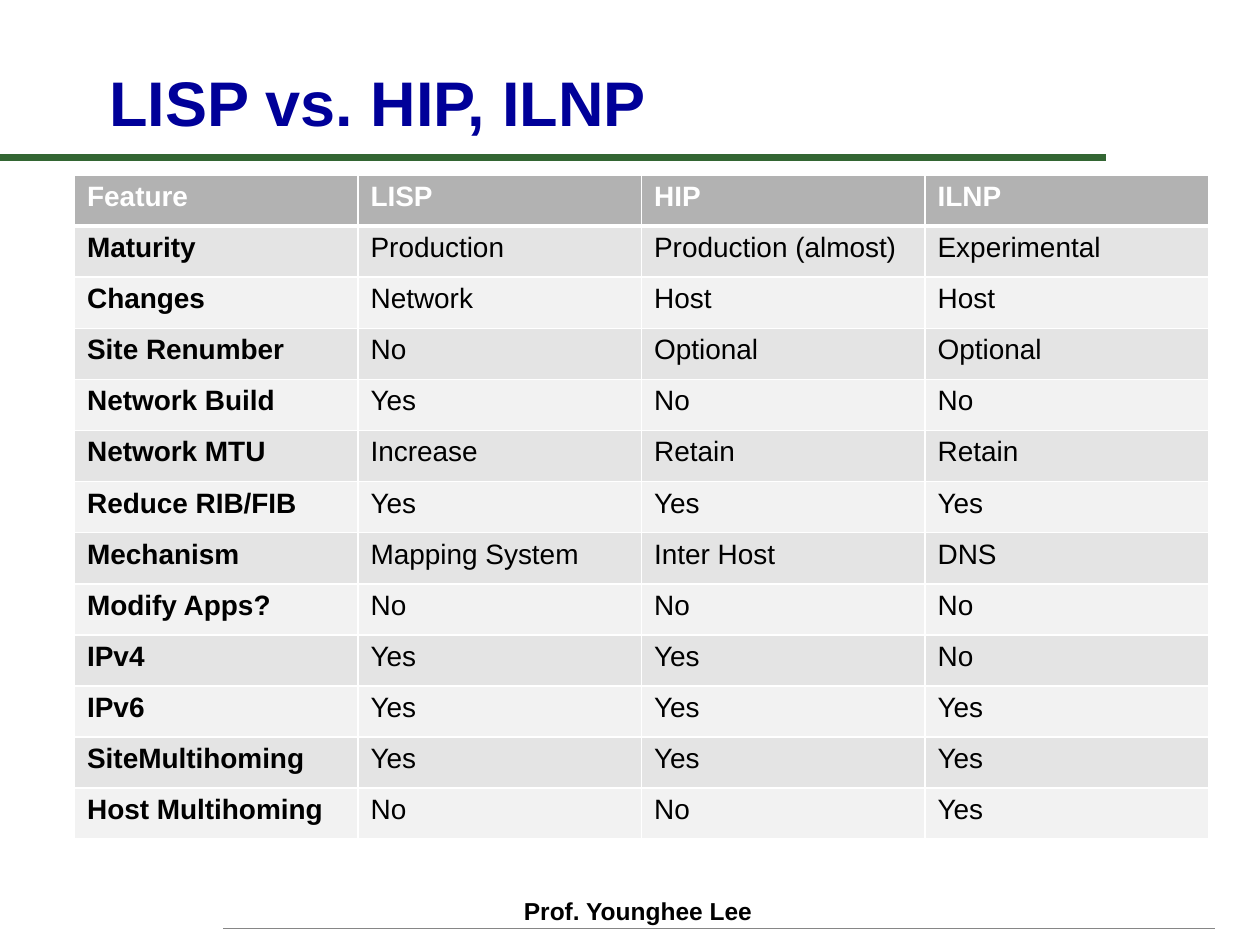
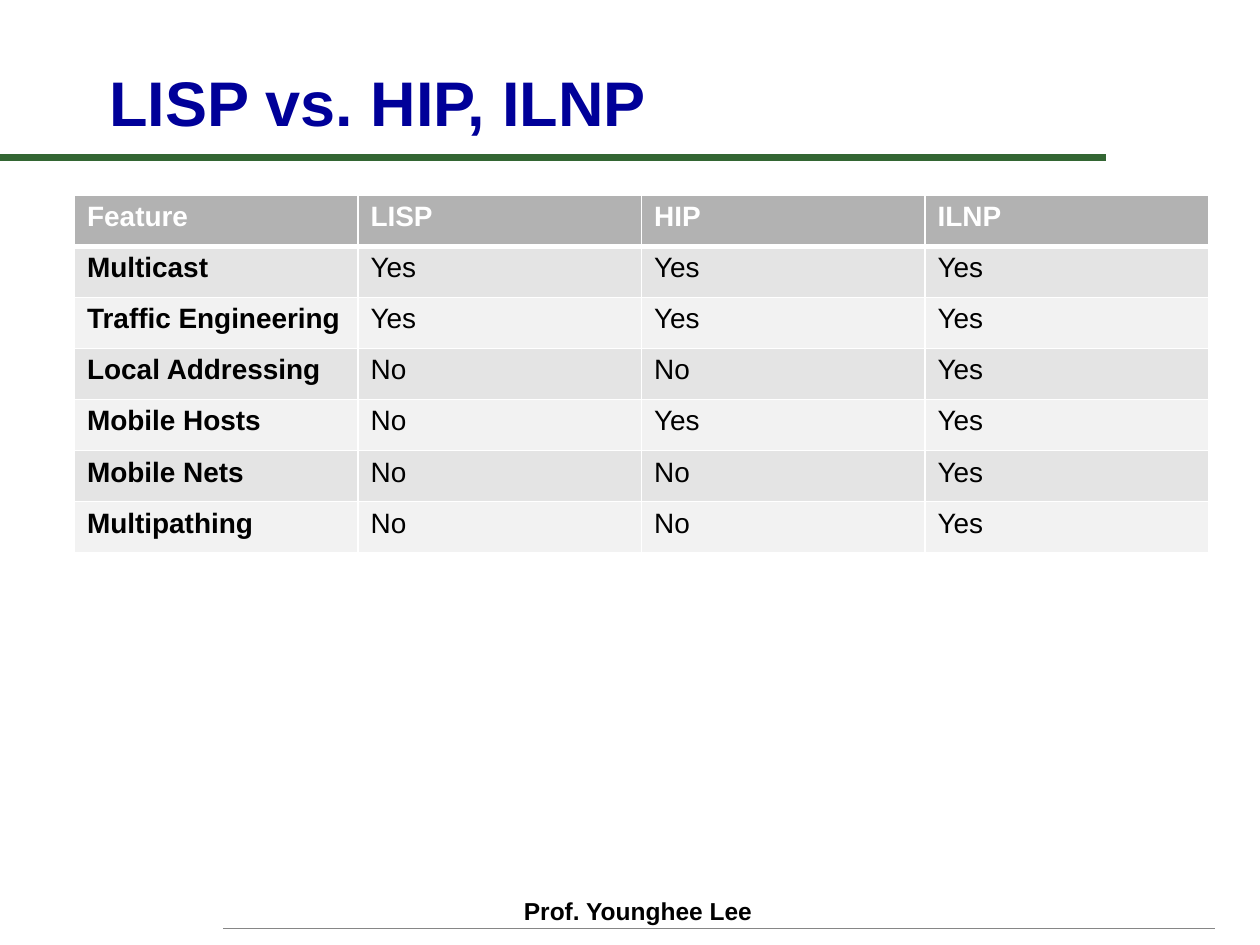
"""Builds two slides that compare the features of LISP, HIP and ILNP."""
from dataclasses import dataclass

from lxml import etree
from pptx import Presentation
from pptx.dml.color import RGBColor
from pptx.enum.shapes import MSO_CONNECTOR
from pptx.enum.text import MSO_ANCHOR
from pptx.oxml.ns import qn
from pptx.util import Pt

STRAIGHT = MSO_CONNECTOR.STRAIGHT
TOP, BOTTOM = MSO_ANCHOR.TOP, MSO_ANCHOR.BOTTOM
BLANK_LAYOUT = 6

TITLE = "LISP vs. HIP, ILNP"
FOOTER = "Prof. Younghee Lee"
HEADER = ("Feature", "LISP", "HIP", "ILNP")
SLIDES = [
    {"table_top": 100, "features": [
        ("Maturity", "Production", "Production (almost)", "Experimental"),
        ("Changes", "Network", "Host", "Host"),
        ("Site Renumber", "No", "Optional", "Optional"),
        ("Network Build", "Yes", "No", "No"),
        ("Network MTU", "Increase", "Retain", "Retain"),
        ("Reduce RIB/FIB", "Yes", "Yes", "Yes"),
        ("Mechanism", "Mapping System", "Inter Host", "DNS"),
        ("Modify Apps?", "No", "No", "No"),
        ("IPv4", "Yes", "Yes", "No"),
        ("IPv6", "Yes", "Yes", "Yes"),
        ("SiteMultihoming", "Yes", "Yes", "Yes"),
        ("Host Multihoming", "No", "No", "Yes"),
    ]},
    {"table_top": 111.5, "features": [
        ("Multicast", "Yes", "Yes", "Yes"),
        ("Traffic Engineering", "Yes", "Yes", "Yes"),
        ("Local Addressing", "No", "No", "Yes"),
        ("Mobile Hosts", "No", "Yes", "Yes"),
        ("Mobile Nets", "No", "No", "Yes"),
        ("Multipathing", "No", "No", "Yes"),
    ]},
]


@dataclass(frozen=True)
class Theme:
    font: str = "Arial"
    title_size: int = 36
    table_size: int = 16
    footer_size: int = 14
    title_color: str = "000099"
    text_color: str = "000000"
    white: str = "FFFFFF"
    title_rule: str = "336633"
    footer_rule: str = "868686"
    header_fill: str = "B2B2B2"
    band_fills: tuple = ("E4E4E4", "F2F2F2")


THEME = Theme()
SLIDE_WIDTH, SLIDE_HEIGHT = 720, 540
TITLE_BOX = (55.5, 31.5, 587, 51.5)
FOOTER_BOX = (292.3, 508.3, 150, 24)
TITLE_RULE = (0, 632, 90)
FOOTER_RULE = (127.5, 694.5, 530.6)
TABLE_LEFT, COLUMN_WIDTH, ROW_HEIGHT = 42.6, 162, 29.2
THIN_BORDER, THICK_BORDER = 1, 3


def write_text(frame, text, *, size, color=THEME.text_color, bold=True):
    run = frame.paragraphs[0].add_run()
    run.text = text
    run.font.name = THEME.font
    run.font.size = Pt(size)
    run.font.bold = bold
    run.font.color.rgb = RGBColor.from_string(color)


def add_text_box(slide, box, text, anchor=TOP, **text_format):
    frame = slide.shapes.add_textbox(*map(Pt, box)).text_frame
    frame.word_wrap = True
    frame.vertical_anchor = anchor
    write_text(frame, text, **text_format)


def add_rule(slide, rule, color, weight):
    left, right, top = map(Pt, rule)
    connector = slide.shapes.add_connector(STRAIGHT, left, top, right, top)
    connector.line.color.rgb = RGBColor.from_string(color)
    connector.line.width = Pt(weight)
    properties = connector._element.find(qn("p:spPr"))
    etree.SubElement(properties, qn("a:effectLst"))


def add_borders(cell, **weights):
    properties = cell._tc.get_or_add_tcPr()
    for side in "LRTB":
        weight = weights.get(side, THIN_BORDER)
        line = etree.SubElement(properties, qn(f"a:ln{side}"), w=str(Pt(weight)))
        fill = etree.SubElement(line, qn("a:solidFill"))
        etree.SubElement(fill, qn("a:srgbClr"), val=THEME.white)


def format_cell(cell, text, row, column):
    is_header = row == 0
    add_borders(cell,
                B=THICK_BORDER if is_header else THIN_BORDER,
                T=THICK_BORDER if row == 1 else THIN_BORDER)
    fill_color = THEME.header_fill if is_header else THEME.band_fills[(row - 1) % 2]
    cell.fill.solid()
    cell.fill.fore_color.rgb = RGBColor.from_string(fill_color)
    write_text(cell.text_frame, text, size=THEME.table_size,
               color=THEME.white if is_header else THEME.text_color,
               bold=is_header or column == 0)


def add_feature_table(slide, top, features):
    rows = [HEADER, *features]
    width, height = COLUMN_WIDTH * len(HEADER), ROW_HEIGHT * len(rows)
    table = slide.shapes.add_table(len(rows), len(HEADER), Pt(TABLE_LEFT), Pt(top),
                                   Pt(width), Pt(height)).table
    for table_row in table.rows:
        table_row.height = Pt(ROW_HEIGHT)
    for row, values in enumerate(rows):
        for column, text in enumerate(values):
            format_cell(table.cell(row, column), text, row, column)


def add_frame(slide):
    add_rule(slide, TITLE_RULE, THEME.title_rule, 4)
    add_rule(slide, FOOTER_RULE, THEME.footer_rule, 1)
    add_text_box(slide, FOOTER_BOX, FOOTER, size=THEME.footer_size)
    add_text_box(slide, TITLE_BOX, TITLE, anchor=BOTTOM,
                 size=THEME.title_size, color=THEME.title_color)


def main():
    presentation = Presentation()
    presentation.slide_width = Pt(SLIDE_WIDTH)
    presentation.slide_height = Pt(SLIDE_HEIGHT)
    for content in SLIDES:
        slide = presentation.slides.add_slide(presentation.slide_layouts[BLANK_LAYOUT])
        add_frame(slide)
        add_feature_table(slide, content["table_top"], content["features"])
    presentation.save("out.pptx")


if __name__ == "__main__":
    main()
